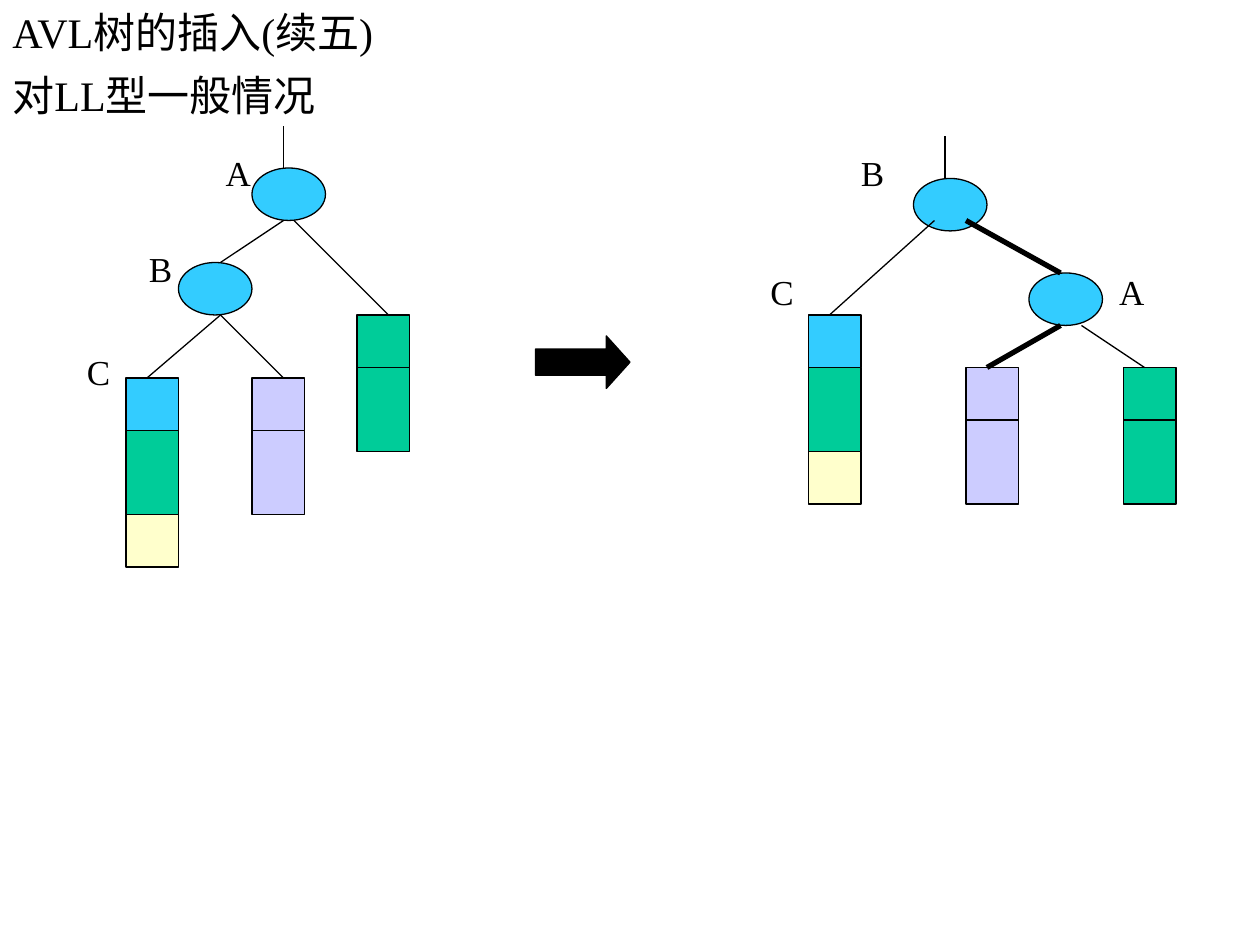
from lxml.etree import SubElement
from pptx import Presentation
from pptx.dml.color import RGBColor
from pptx.enum.shapes import MSO_CONNECTOR as Connector, MSO_SHAPE as Shape
from pptx.enum.text import MSO_ANCHOR as Anchor
from pptx.oxml.ns import qn
from pptx.util import Pt

EMU_PER_PX = 7620
FONT = "Times New Roman"
BLACK, BLUE, GREEN = "000000", "33CCFF", "00CC99"
LAVENDER, CREAM = "CCCCFF", "FFFFCC"
NODE_SIZE = (70, 50)
BLOCK_WIDTH = 50
BLOCK_HEIGHTS = (50, 80, 50)
NEW_SUBTREE = (BLUE, GREEN, CREAM)

BEFORE = {
    "nodes": [(240, 160), (170, 250)],
    "stacks": [
        (120, 360, NEW_SUBTREE),
        (240, 360, (LAVENDER, LAVENDER)),
        (340, 300, (GREEN, GREEN)),
    ],
    "edges": [
        (270, 120, 270, 160),
        (270, 210, 210, 250),
        (280, 210, 370, 300),
        (210, 300, 140, 360),
        (210, 300, 270, 360),
    ],
    "rotated_edges": [],
    "labels": [("A", 203, 138), ("B", 130, 230), ("C", 71, 328)],
}
AFTER = {
    "nodes": [(870, 170), (980, 260)],
    "stacks": [
        (770, 300, NEW_SUBTREE),
        (920, 350, (LAVENDER, LAVENDER)),
        (1070, 350, (GREEN, GREEN)),
    ],
    "edges": [
        (900, 130, 900, 170),
        (890, 210, 790, 300),
        (1030, 310, 1090, 350),
    ],
    "rotated_edges": [(920, 210, 1010, 260), (1010, 310, 940, 350)],
    "labels": [("B", 808, 138), ("A", 1054, 252), ("C", 722, 252)],
}


def px(*lengths):
    return [length * EMU_PER_PX for length in lengths]


def color(value):
    return RGBColor.from_string(value)


def add_text(page, text, left, top, width, height, size, anchor=Anchor.TOP):
    box = page.shapes.add_textbox(*px(left, top, width, height))
    frame = box.text_frame
    frame.word_wrap = True
    frame.vertical_anchor = anchor
    frame.text = text
    font = frame.paragraphs[0].runs[0].font
    font.name = FONT
    font.size = Pt(size)
    font.color.rgb = color(BLACK)


def add_filled(page, kind, left, top, width, height, fill):
    shape = page.shapes.add_shape(kind, *px(left, top, width, height))
    shape.shadow.inherit = False
    shape.fill.solid()
    shape.fill.fore_color.rgb = color(fill)
    shape.line.color.rgb = color(BLACK)
    shape.line.width = Pt(0.75)
    return shape


def add_stack(page, left, top, fills):
    for height, fill in zip(BLOCK_HEIGHTS, fills):
        add_filled(page, Shape.RECTANGLE, left, top, BLOCK_WIDTH, height, fill)
        top += height


def add_edge(page, points, width):
    edge = page.shapes.add_connector(Connector.STRAIGHT, *px(*points))
    edge.line.color.rgb = color(BLACK)
    edge.line.width = Pt(width)
    SubElement(edge._element.spPr, qn("a:effectLst"))


def add_tree(page, tree):
    for left, top in tree["nodes"]:
        add_filled(page, Shape.OVAL, left, top, *NODE_SIZE, BLUE)
    for left, top, fills in tree["stacks"]:
        add_stack(page, left, top, fills)
    for points in tree["edges"]:
        add_edge(page, points, 0.75)
    for points in tree["rotated_edges"]:
        add_edge(page, points, 3)
    for text, left, top in tree["labels"]:
        add_text(page, text, left, top, 50, 53, 20)


def add_arrow(page):
    arrow = add_filled(page, Shape.RIGHT_ARROW, 510, 320, 90, 50, BLACK)
    arrow.adjustments[0] = 0.5
    arrow.adjustments[1] = 0.45


def main():
    deck = Presentation()
    deck.slide_width, deck.slide_height = px(1200, 900)
    page = deck.slides.add_slide(deck.slide_layouts[6])
    add_text(page, "AVL树的插入(续五)", 0, 0, 1020, 60, 24, Anchor.MIDDLE)
    add_text(page, "对LL型一般情况", 0, 60, 1170, 800, 24)
    add_tree(page, BEFORE)
    add_arrow(page)
    add_tree(page, AFTER)
    deck.save("out.pptx")


if __name__ == "__main__":
    main()
